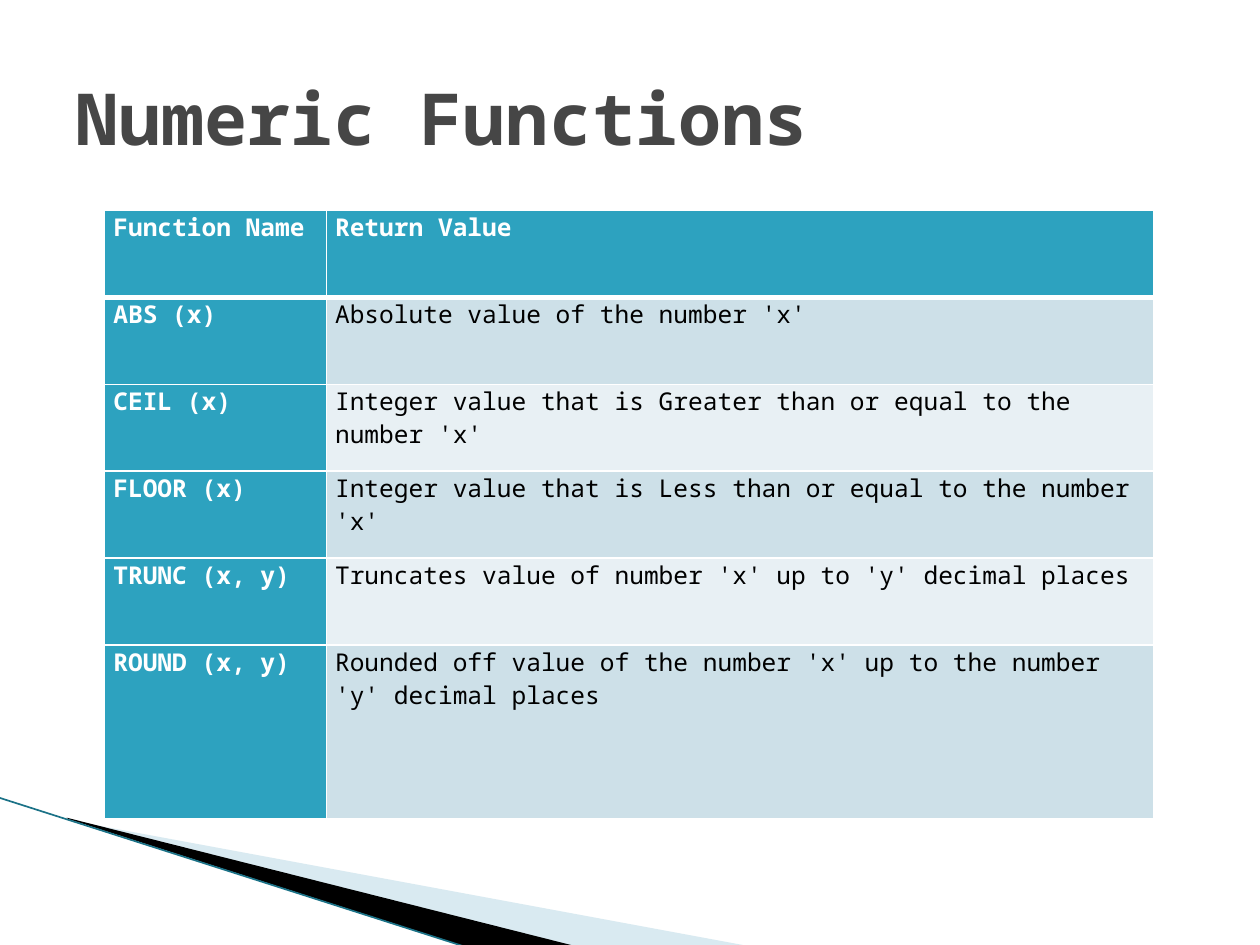
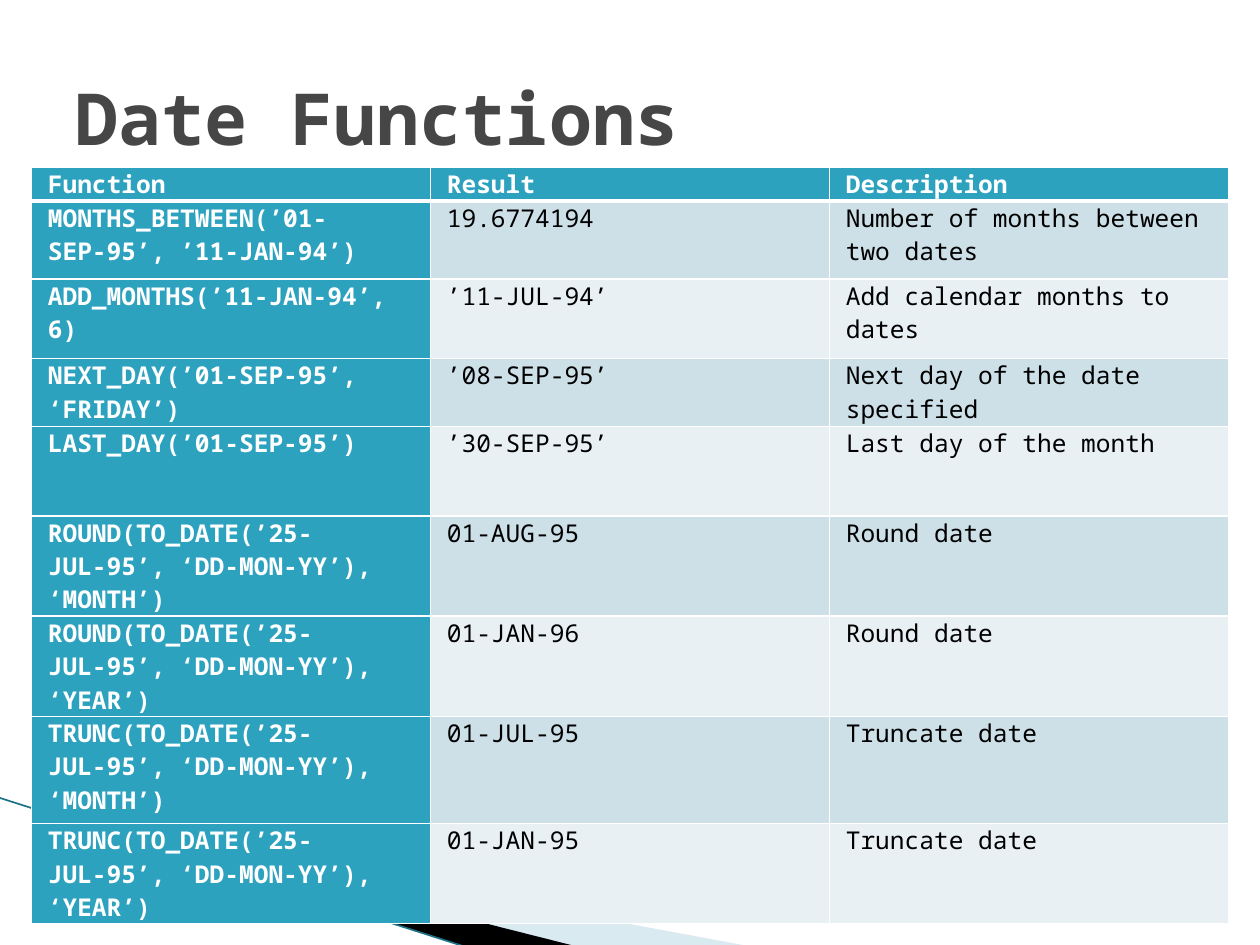
from collections import namedtuple

from lxml.etree import SubElement
from pptx import Presentation
from pptx.dml.color import RGBColor
from pptx.enum.shapes import MSO_CONNECTOR
from pptx.enum.text import MSO_ANCHOR, MSO_AUTO_SIZE, PP_ALIGN
from pptx.oxml.ns import qn
from pptx.util import Inches, Pt

FONT = "Noto Sans Mono"
WHITE = RGBColor(0xFF, 0xFF, 0xFF)
BLACK = RGBColor(0x00, 0x00, 0x00)
TITLE_GRAY = RGBColor(0x46, 0x46, 0x46)
TEAL = RGBColor(0x2D, 0xA2, 0xBF)
DARK_TEAL = RGBColor(0x1B, 0x72, 0x87)
PALE_BLUE = RGBColor(0xA0, 0xCB, 0xDC)
BAND_COLORS = (RGBColor(0xCD, 0xE0, 0xE8), RGBColor(0xE8, 0xF0, 0xF4))

Box = namedtuple("Box", "left top width height")
TITLE_BOX = Box(0.5, 0.3, 9, 1.25)
CORNER_BOX = Box(0, 6.33, 5.95, 1.19)
NUMERIC_BOX = Box(0.83, 1.67, 8.33, 4.83)
DATE_BOX = Box(0.25, 1.33, 9.5, 5.92)

PALE_WEDGE = [(0.55, 0.18), (5.95, 1.18), (4.56, 1.18), (0.55, 0.17)]
BLACK_WEDGE = [(0.53, 0.16), (4.57, 1.18), (3.72, 1.19), (0.54, 0.17)]

NUMERIC_ROWS = [
    ("Function Name", "Return Value"),
    ("ABS (x)", "Absolute value of the number 'x'"),
    ("CEIL (x)", "Integer value that is Greater than or equal to the number 'x'"),
    ("FLOOR (x)", "Integer value that is Less than or equal to the number 'x'"),
    ("TRUNC (x, y)", "Truncates value of number 'x' up to 'y' decimal places"),
    ("ROUND (x, y)",
     "Rounded off value of the number 'x' up to the number 'y' decimal places"),
]
NUMERIC_HEIGHTS = [0.69] * 5 + [1.38]

DATE_ROWS = [
    ("Function", "Result", "Description"),
    ("MONTHS_BETWEEN(’01-SEP-95’, ’11-JAN-94’)", "19.6774194",
     "Number of months between two dates"),
    ("ADD_MONTHS(’11-JAN-94’, 6)", "’11-JUL-94’", "Add calendar months to dates"),
    ("NEXT_DAY(’01-SEP-95’, ‘FRIDAY’)", "’08-SEP-95’",
     "Next day of the date specified"),
    ("LAST_DAY(’01-SEP-95’)", "’30-SEP-95’", "Last day of the month"),
    ("ROUND(TO_DATE(’25-JUL-95’, ‘DD-MON-YY’),\n‘MONTH’)", "01-AUG-95", "Round date"),
    ("ROUND(TO_DATE(’25-JUL-95’, ‘DD-MON-YY’),\n‘YEAR’)", "01-JAN-96", "Round date"),
    ("TRUNC(TO_DATE(’25-JUL-95’, ‘DD-MON-YY’),\n‘MONTH’)", "01-JUL-95",
     "Truncate date"),
    ("TRUNC(TO_DATE(’25-JUL-95’, ‘DD-MON-YY’),\n‘YEAR’)", "01-JAN-95",
     "Truncate date"),
]
DATE_HEIGHTS = [0.25, 0.62, 0.63, 0.54, 0.71, 0.75, 0.79, 0.85, 0.79]


def format_font(paragraph, size, color, bold):
    paragraph.font.name = FONT
    paragraph.font.size = Pt(size)
    paragraph.font.bold = bold
    paragraph.font.color.rgb = color


def add_wedge(slide, box, points, color, opacity=100):
    units = [(round(x * 100), round(y * 100)) for x, y in points]
    builder = slide.shapes.build_freeform(*units[0], scale=Inches(0.01))
    builder.add_line_segments(units[1:], close=True)
    shape = builder.convert_to_shape(Inches(box.left), Inches(box.top))
    shape.shadow.inherit = False
    shape.fill.solid()
    shape.fill.fore_color.rgb = color
    shape.line.fill.background()
    if opacity < 100:
        color_element = shape._element.spPr.find(".//" + qn("a:srgbClr"))
        SubElement(color_element, qn("a:alpha"), val=str(opacity * 1000))


def add_corner(slide, box):
    add_wedge(slide, box, PALE_WEDGE, PALE_BLUE, opacity=40)
    add_wedge(slide, box, BLACK_WEDGE, BLACK)
    edge = slide.shapes.add_connector(
        MSO_CONNECTOR.STRAIGHT,
        Inches(box.left - 0.01), Inches(box.top),
        Inches(box.left + 3.71), Inches(box.top + box.height))
    edge.line.color.rgb = DARK_TEAL
    edge.line.width = Pt(0.95)
    SubElement(edge._element.spPr, qn("a:effectLst"))


def format_title(slide, box, text):
    title = slide.shapes.title
    title.left, title.top, title.width, title.height = map(Inches, box)
    frame = title.text_frame
    frame.text = text
    frame.word_wrap = True
    frame.auto_size = MSO_AUTO_SIZE.NONE
    frame.vertical_anchor = MSO_ANCHOR.MIDDLE
    frame.paragraphs[0].alignment = PP_ALIGN.LEFT
    format_font(frame.paragraphs[0], 41, TITLE_GRAY, True)


def set_borders(cell, top, bottom):
    properties = cell._tc.get_or_add_tcPr()
    for side, width in (("L", 1), ("R", 1), ("T", top), ("B", bottom)):
        line = SubElement(properties, qn(f"a:ln{side}"), w=str(Pt(width)))
        fill = SubElement(line, qn("a:solidFill"))
        SubElement(fill, qn("a:srgbClr"), val=str(WHITE))


def format_cell(cell, text, row_index, column_index, indent):
    is_header = row_index == 0 or column_index == 0
    set_borders(cell, top=3 if row_index == 1 else 1, bottom=3 if row_index == 0 else 1)
    cell.fill.solid()
    cell.fill.fore_color.rgb = TEAL if is_header else BAND_COLORS[(row_index - 1) % 2]
    cell.margin_left = Inches(0.07 + indent)
    cell.margin_right = Inches(0.07)
    cell.margin_top = cell.margin_bottom = 0
    cell.text = text
    for paragraph in cell.text_frame.paragraphs:
        format_font(paragraph, 14, WHITE if is_header else BLACK, is_header)


def add_function_table(slide, box, rows, column_widths, row_heights, indent):
    table = slide.shapes.add_table(
        len(rows), len(column_widths), *map(Inches, box)).table
    table.horz_banding = False
    for column, width in zip(table.columns, column_widths):
        column.width = Inches(width)
    for row, height in zip(table.rows, row_heights):
        row.height = Inches(height)
    for row_index, texts in enumerate(rows):
        for column_index, text in enumerate(texts):
            format_cell(table.cell(row_index, column_index), text,
                        row_index, column_index, indent)


def add_function_slide(presentation, title, box, rows, column_widths, row_heights,
                       indent=0):
    slide = presentation.slides.add_slide(presentation.slide_layouts[5])
    add_corner(slide, CORNER_BOX)
    add_function_table(slide, box, rows, column_widths, row_heights, indent)
    format_title(slide, TITLE_BOX, title)


def main():
    presentation = Presentation()
    presentation.slide_width = Inches(10)
    presentation.slide_height = Inches(7.5)
    add_function_slide(presentation, "Numeric Functions", NUMERIC_BOX, NUMERIC_ROWS,
                       [1.76, 6.57], NUMERIC_HEIGHTS)
    add_function_slide(presentation, "Date Functions", DATE_BOX, DATE_ROWS,
                       [DATE_BOX.width / 3] * 3, DATE_HEIGHTS, indent=0.06)
    presentation.save("out.pptx")


if __name__ == "__main__":
    main()
